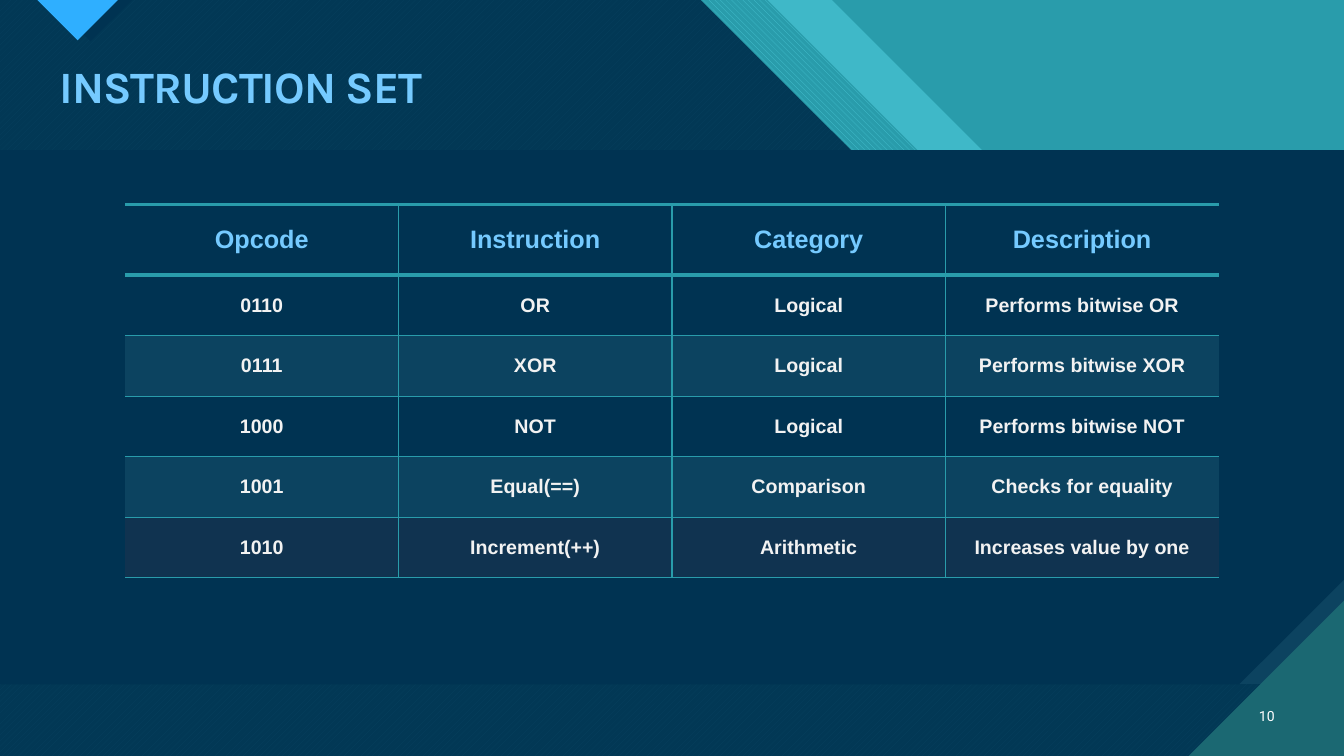
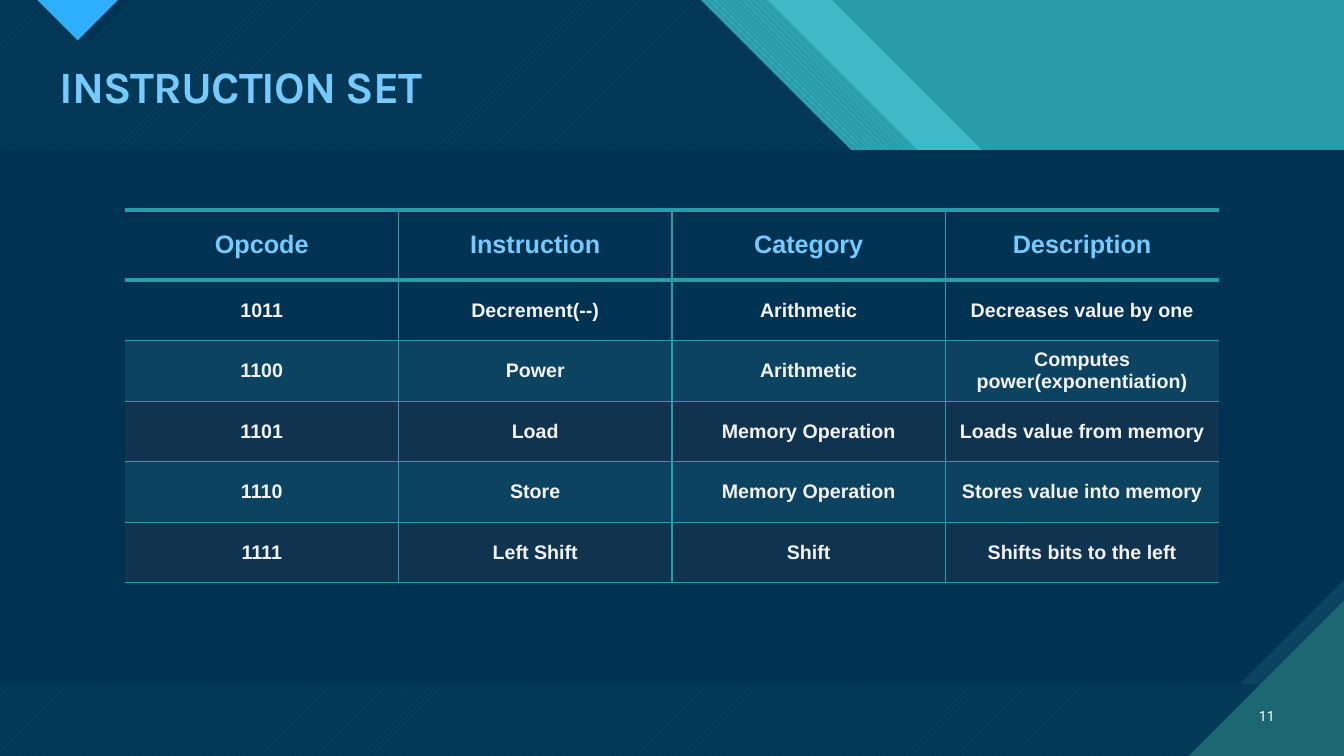
from lxml import etree
from pptx import Presentation
from pptx.dml.color import RGBColor
from pptx.enum.dml import MSO_PATTERN
from pptx.enum.text import MSO_ANCHOR, MSO_AUTO_SIZE, PP_ALIGN
from pptx.oxml.ns import qn
from pptx.util import Inches, Pt

LEFT, CENTER, RIGHT = PP_ALIGN.LEFT, PP_ALIGN.CENTER, PP_ALIGN.RIGHT
MIDDLE, NO_FIT = MSO_ANCHOR.MIDDLE, MSO_AUTO_SIZE.NONE
DOWN, UP = MSO_PATTERN.WIDE_DOWNWARD_DIAGONAL, MSO_PATTERN.WIDE_UPWARD_DIAGONAL

COLORS = {
    "navy": "003352", "band": "0C4360", "dusk": "103350", "teal": "299CAB",
    "aqua": "47C3D3", "pine": "1B6872", "blue": "2FAFFF", "sky": "75CAFF",
    "pale": "F2F2F2", "white": "FFFFFF",
}
NO_STYLE = "{2D5ABB26-0587-4C30-8999-92F81FD0307C}"
W, H = 13.33, 7.5
TABLE_LEFT, TABLE_WIDTH = 1.24, 10.85
HEADER_HEIGHT, ROW_HEIGHT = 0.7, 0.6

# Content: a slide has a top and tables that follow each other; a row is its fill and its cells
TITLE = "INSTRUCTION SET"
FIRST_NUMBER = 10
HEADER = (None, ("Opcode", "Instruction", "Category", "Description"))
SLIDES = [
    {"top": 2.03, "tables": [[
        HEADER,
        (None, ("0110", "OR", "Logical", "Performs bitwise OR")),
        ("band", ("0111", "XOR", "Logical", "Performs bitwise XOR")),
        (None, ("1000", "NOT", "Logical", "Performs bitwise NOT")),
        ("band", ("1001", "Equal(==)", "Comparison", "Checks for equality")),
        ("dusk", ("1010", "Increment(++)", "Arithmetic", "Increases value by one")),
    ]]},
    {"top": 2.08, "tables": [[
        HEADER,
        (None, ("1011", "Decrement(--)", "Arithmetic", "Decreases value by one")),
        ("band", ("1100", "Power", "Arithmetic", "Computes power(exponentiation)")),
        ("dusk", ("1101", "Load", "Memory Operation", "Loads value from memory")),
        ("band", ("1110", "Store", "Memory Operation", "Stores value into memory")),
    ], [
        ("dusk", ("1111", "Left Shift", "Shift", "Shifts bits to the left")),
    ]]},
]


# Shared backdrop, back to front: points, colour, and optional pattern or opacity
def band_outline(x):
    """Area left of the diagonal that starts at x on the top edge."""
    step = 2.97
    shelf = x + step + (1.12 if x > 8 else 1.26)
    return [(0, 0), (x, 0), (x + step, step), (shelf, step),
            (W, step + W - shelf), (W, H), (0, H)]


PANEL_TOP, PANEL_BOTTOM, SNIP, CORNER = 1.49, 6.79, 1.04, 1.54
BACKDROP = [
    (band_outline(8.25), "aqua", {"alpha": 74}),
    (band_outline(7.61), "aqua", {"pattern": DOWN, "back": "teal"}),
    (band_outline(6.95), "aqua", {"pattern": UP, "back": "pine"}),
    (band_outline(6.95), "navy", {"alpha": 90}),
    ([(0.48, 0), (1.31, 0), (0.9, 0.41)], "navy", {}),
    ([(0.37, 0), (1.17, 0), (0.77, 0.4)], "blue", {}),
    ([(0, PANEL_TOP), (W, PANEL_TOP), (W, PANEL_BOTTOM), (0, PANEL_BOTTOM)], "band", {}),
    ([(0, PANEL_TOP), (W, PANEL_TOP), (W, PANEL_BOTTOM - SNIP),
      (W - SNIP, PANEL_BOTTOM), (0, PANEL_BOTTOM)], "navy", {}),
    ([(W - CORNER, H), (W, H), (W, H - CORNER)], "pine", {}),
]


def rgb(name):
    return RGBColor.from_string(COLORS[name])


def add_outline(slide, points, color, alpha=None, pattern=None, back=None):
    corners = [(Inches(x), Inches(y)) for x, y in points]
    builder = slide.shapes.build_freeform(*corners[0], scale=1.0)
    builder.add_line_segments(corners[1:], close=True)
    sp = builder.convert_to_shape()
    sp.shadow.inherit = False
    sp.line.fill.background()
    if pattern is not None:
        sp.fill.patterned()
        sp.fill.pattern = pattern
        sp.fill.fore_color.rgb, sp.fill.back_color.rgb = rgb(color), rgb(back)
    else:
        sp.fill.solid()
        sp.fill.fore_color.rgb = rgb(color)
    if alpha:
        clr = sp.element.spPr.find(qn("a:solidFill"))[0]
        etree.SubElement(clr, qn("a:alpha"), val=str(alpha * 1000))
    return sp


def write(tf, text, size, color, font="Arial", bold=False, align=CENTER,
          spacing=None, line_spacing=None):
    p = tf.paragraphs[0]
    p.alignment = align
    if line_spacing:
        p.line_spacing = line_spacing
    r = p.add_run()
    r.text = text
    r.font.size, r.font.bold, r.font.name = Pt(size), bold, font
    r.font.color.rgb = rgb(color)
    if spacing:
        r.font._element.set("spc", str(round(spacing * 100)))


def set_borders(cell, widths):
    tc_pr = cell._tc.get_or_add_tcPr()
    for side, width in widths.items():
        if width:
            ln = etree.SubElement(tc_pr, qn(f"a:ln{side}"), w=str(Pt(width)))
            fill = etree.SubElement(ln, qn("a:solidFill"))
            etree.SubElement(fill, qn("a:srgbClr"), val=COLORS["teal"])


def add_instruction_table(slide, top, rows):
    """Draw one table and return where it ends."""
    header_row = 0 if rows[0] is HEADER else None
    heights = [HEADER_HEIGHT if row is HEADER else ROW_HEIGHT for row in rows]
    n_cols = len(HEADER[1])
    table = slide.shapes.add_table(len(rows), n_cols, Inches(TABLE_LEFT), Inches(top),
                                   Inches(TABLE_WIDTH), Inches(sum(heights))).table
    table.first_row = table.horz_banding = False
    table._tbl.tblPr.find(qn("a:tableStyleId")).text = NO_STYLE
    for i, (fill, texts) in enumerate(rows):
        table.rows[i].height = Inches(heights[i])
        is_header = i == header_row
        below_header = i == 1 and header_row == 0
        size, color = (18, "sky") if is_header else (14, "pale")
        for j, text in enumerate(texts):
            cell = table.cell(i, j)
            set_borders(cell, {"L": int(j > 0), "R": int(j < n_cols - 1),
                               "T": 3 if is_header or below_header else 1,
                               "B": 3 if is_header else 1})
            if fill:
                cell.fill.solid()
                cell.fill.fore_color.rgb = rgb(fill)
            else:
                cell.fill.background()
            cell.vertical_anchor = MIDDLE
            write(cell.text_frame, text, size, color, bold=True)
    return top + sum(heights)


def add_title(slide):
    sp = slide.shapes.title
    sp.left, sp.top, sp.width, sp.height = map(Inches, (0.49, 0.59, 12.26, 0.59))
    tf = sp.text_frame
    tf.auto_size, tf.vertical_anchor = NO_FIT, MIDDLE
    write(tf, TITLE, 32, "sky", font="Karla", bold=True, align=LEFT,
          spacing=-0.7, line_spacing=0.9)


def add_number(slide, number):
    tf = slide.shapes.add_textbox(*map(Inches, (12.3, 6.9, 0.44, 0.4))).text_frame
    tf.word_wrap, tf.vertical_anchor = True, MIDDLE
    write(tf, str(number), 10, "white", font="Roboto", align=RIGHT)


def dress_layout(layout, slide):
    """Draw the backdrop on a slide and move it to the layout all slides share."""
    layout.background.fill.solid()
    layout.background.fill.fore_color.rgb = rgb("teal")
    for points, color, options in BACKDROP:
        sp = add_outline(slide, points, color, **options)
        layout.shapes.element.append(sp.element)


def main():
    prs = Presentation()
    prs.slide_width, prs.slide_height = Inches(W), Inches(H)
    layout = prs.slide_layouts[5]
    for i, content in enumerate(SLIDES):
        slide = prs.slides.add_slide(layout)
        if i == 0:
            dress_layout(layout, slide)
        add_title(slide)
        top = content["top"]
        for rows in content["tables"]:
            top = add_instruction_table(slide, top, rows)
        add_number(slide, FIRST_NUMBER + i)
    prs.save("out.pptx")


if __name__ == "__main__":
    main()
